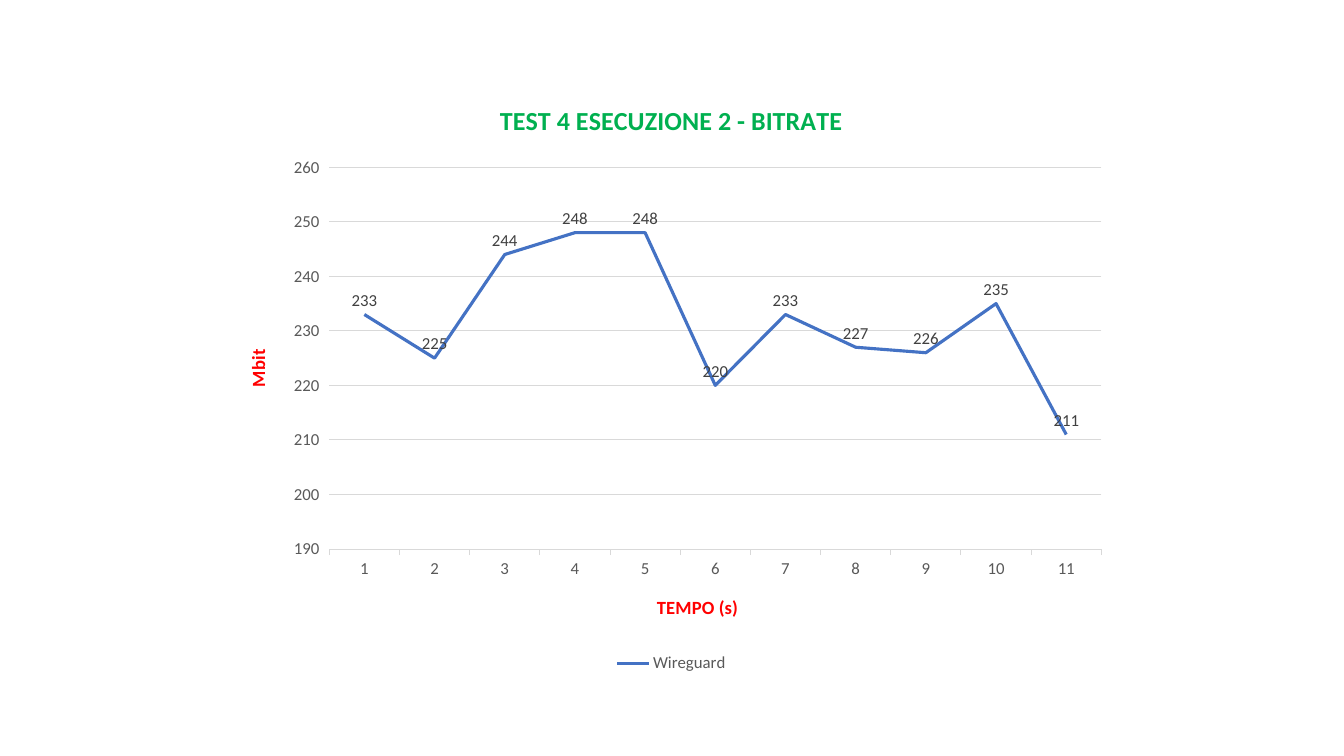
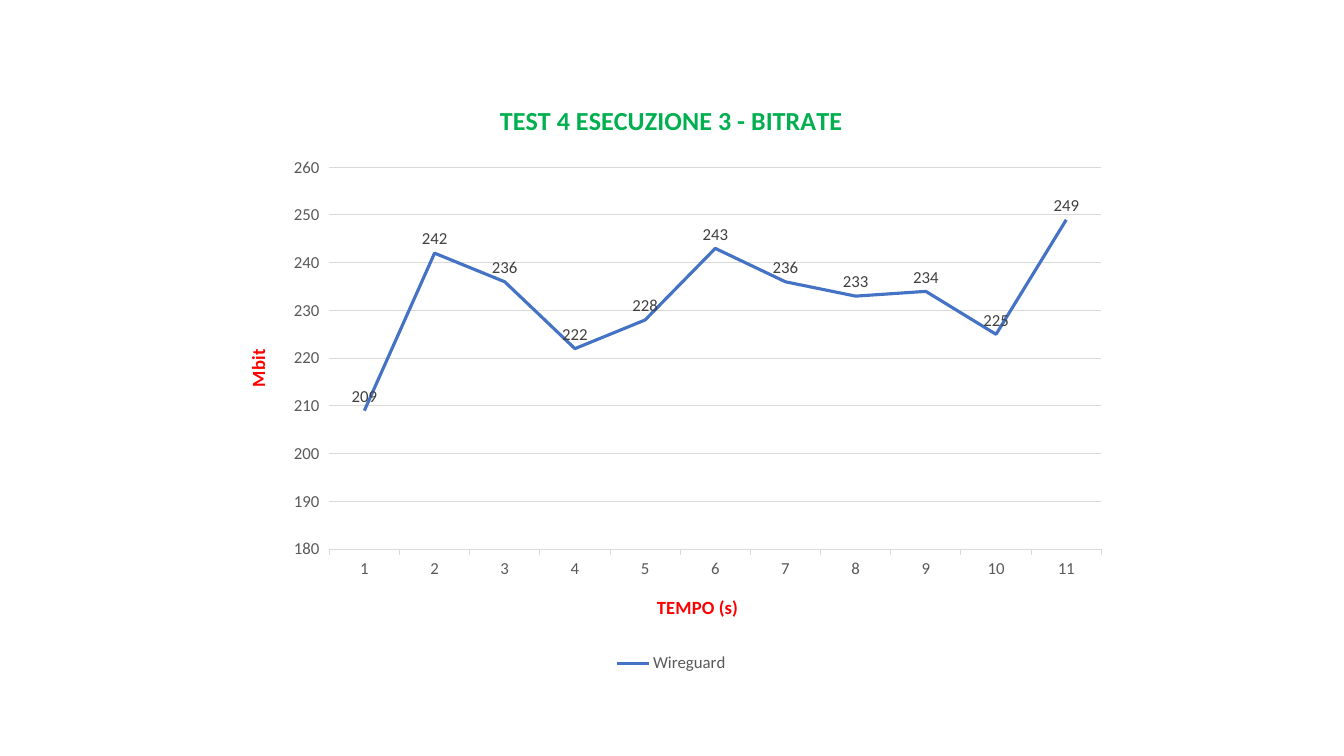
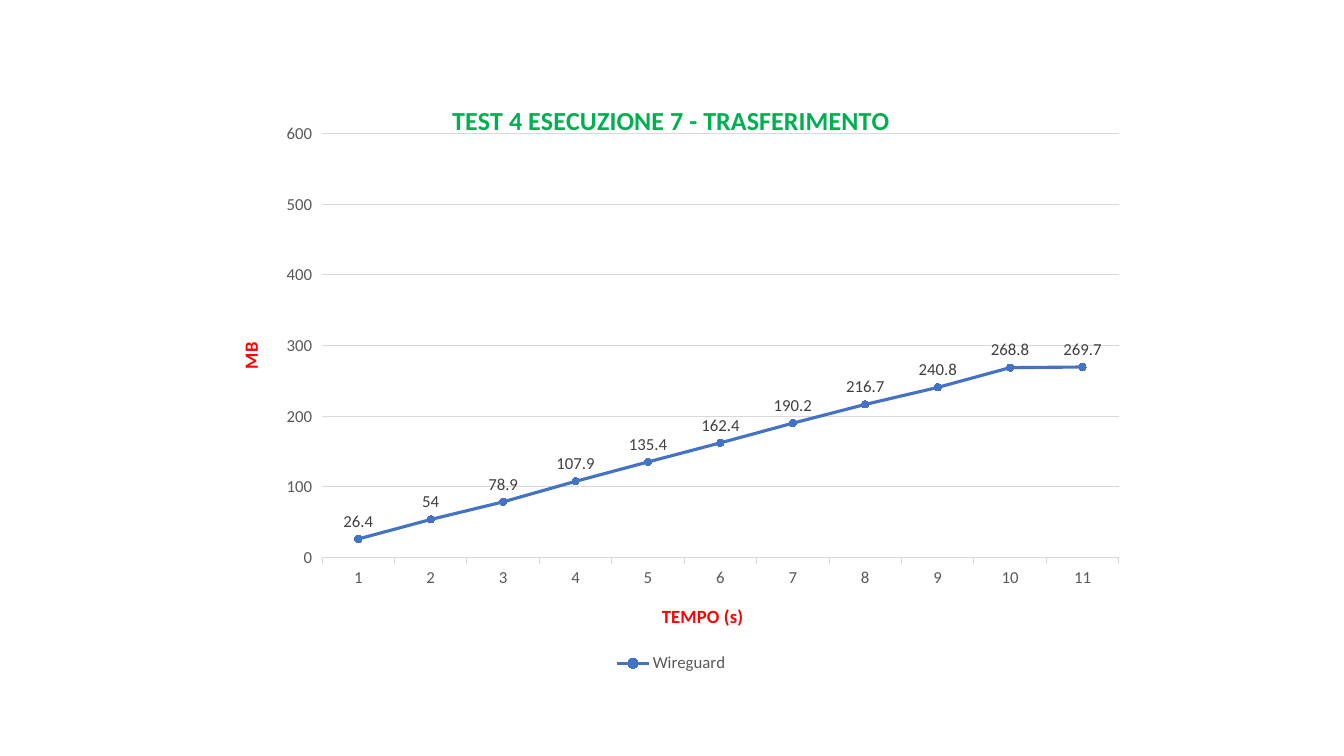
import dataclasses
import typing

import lxml.etree
import pptx
import pptx.chart.axis
import pptx.chart.chart
import pptx.chart.data
import pptx.dml.color
import pptx.enum.chart
import pptx.oxml.ns
import pptx.presentation
import pptx.text.text
import pptx.util

EMU_PER_PX = 9525


# Shared look
@dataclasses.dataclass(frozen=True)
class Theme:
    font: str = "Calibri"
    title_color: str = "00B050"
    axis_title_color: str = "FF0000"
    text_color: str = "595959"
    label_color: str = "404040"
    grid_color: str = "D9D9D9"
    line_color: str = "4472C4"
    title_size: float = 18.6
    axis_title_size: float = 13.3
    text_size: float = 12
    grid_width: float = 0.75
    line_width: float = 2.25


@dataclasses.dataclass(frozen=True)
class Box:
    left: int
    top: int
    width: int
    height: int


@dataclasses.dataclass(frozen=True)
class PlotArea:
    """Inner plot area, as fractions of the chart."""
    x: float
    y: float
    w: float
    h: float


@dataclasses.dataclass(frozen=True)
class LineChart:
    title: str
    unit: str
    values: tuple[float, ...]
    markers: bool = False
    value_range: typing.Optional[tuple[float, float]] = None
    plot_area: typing.Optional[PlotArea] = None


THEME = Theme()
SLIDE_WIDTH, SLIDE_HEIGHT = 1280, 720
CHART_BOX = Box(213, 76, 853, 569)
TIME_TITLE = "TEMPO (s)"
SERIES_NAME = "Wireguard"

CHARTS = (
    LineChart("TEST 4 ESECUZIONE 2 - BITRATE", "Mbit",
              (233, 225, 244, 248, 248, 220, 233, 227, 226, 235, 211)),
    LineChart("TEST 4 ESECUZIONE 3 - BITRATE", "Mbit",
              (209, 242, 236, 222, 228, 243, 236, 233, 234, 225, 249)),
    LineChart("TEST 4 ESECUZIONE 7 - TRASFERIMENTO", "MB",
              (26.4, 54, 78.9, 107.9, 135.4, 162.4, 190.2, 216.7, 240.8, 268.8, 269.7),
              markers=True, value_range=(0, 600),
              plot_area=PlotArea(0.11, 0.09, 0.89, 0.71)),
)


def px(length: int) -> pptx.util.Emu:
    return pptx.util.Emu(length * EMU_PER_PX)


def rgb(color: str) -> pptx.dml.color.RGBColor:
    return pptx.dml.color.RGBColor.from_string(color)


# Text
def set_font(font: pptx.text.text.Font, size: float, color: str, bold: bool = False) -> None:
    font.name = THEME.font
    font.size = pptx.util.Pt(size)
    font.bold = bold
    font.color.rgb = rgb(color)


def write_title(frame: pptx.text.text.TextFrame, text: str, size: float, color: str) -> None:
    run = frame.paragraphs[0].add_run()
    run.text = text
    set_font(run.font, size, color, bold=True)


# Chart parts
def format_axis(axis: pptx.chart.axis._BaseAxis, title: str) -> None:
    write_title(axis.axis_title.text_frame, title,
                THEME.axis_title_size, THEME.axis_title_color)
    set_font(axis.tick_labels.font, THEME.text_size, THEME.text_color)
    axis.major_tick_mark = pptx.enum.chart.XL_TICK_MARK.OUTSIDE
    axis.minor_tick_mark = pptx.enum.chart.XL_TICK_MARK.NONE


def format_axes(chart: pptx.chart.chart.Chart, content: LineChart) -> None:
    time_axis, value_axis = chart.category_axis, chart.value_axis
    format_axis(time_axis, TIME_TITLE)
    format_axis(value_axis, content.unit)
    value_axis.axis_title.element.xpath(".//a:bodyPr")[0].set("rot", "-5400000")
    value_axis.has_major_gridlines = True
    for line in (time_axis.format.line, value_axis.major_gridlines.format.line):
        line.color.rgb = rgb(THEME.grid_color)
        line.width = pptx.util.Pt(THEME.grid_width)
    value_axis.format.line.fill.background()
    if content.value_range:
        value_axis.minimum_scale, value_axis.maximum_scale = content.value_range


def format_series(chart: pptx.chart.chart.Chart, markers: bool) -> None:
    plot = chart.plots[0]
    plot.vary_by_categories = False
    series = plot.series[0]
    series.smooth = False
    series.format.line.color.rgb = rgb(THEME.line_color)
    series.format.line.width = pptx.util.Pt(THEME.line_width)
    if markers:
        series.marker.style = pptx.enum.chart.XL_MARKER_STYLE.CIRCLE
        series.marker.size = 5
        series.marker.format.fill.solid()
        series.marker.format.fill.fore_color.rgb = rgb(THEME.line_color)
        series.marker.format.line.color.rgb = rgb(THEME.line_color)
    labels = series.data_labels
    labels.show_value = True
    labels.position = pptx.enum.chart.XL_LABEL_POSITION.ABOVE
    set_font(labels.font, THEME.text_size, THEME.label_color)


def place_plot_area(chart: pptx.chart.chart.Chart, area: PlotArea) -> None:
    qualify = pptx.oxml.ns.qn
    plot_area = chart.element.xpath(".//c:plotArea")[0]
    for old_layout in plot_area.findall(qualify("c:layout")):
        plot_area.remove(old_layout)
    layout = lxml.etree.Element(qualify("c:layout"))
    manual = lxml.etree.SubElement(layout, qualify("c:manualLayout"))
    settings = {"layoutTarget": "inner", "xMode": "edge", "yMode": "edge",
                **dataclasses.asdict(area)}
    for name, value in settings.items():
        lxml.etree.SubElement(manual, qualify(f"c:{name}")).set("val", str(value))
    plot_area.insert(0, layout)


# Slides
def add_chart_slide(presentation: pptx.presentation.Presentation, content: LineChart) -> None:
    slide = presentation.slides.add_slide(presentation.slide_layouts[6])
    data = pptx.chart.data.CategoryChartData()
    data.categories = [str(second) for second in range(1, len(content.values) + 1)]
    data.add_series(SERIES_NAME, content.values)
    chart_types = pptx.enum.chart.XL_CHART_TYPE
    chart_type = chart_types.LINE_MARKERS if content.markers else chart_types.LINE
    box = (px(length) for length in dataclasses.astuple(CHART_BOX))
    chart = slide.shapes.add_chart(chart_type, *box, data).chart

    set_font(chart.font, THEME.text_size, THEME.text_color)
    write_title(chart.chart_title.text_frame, content.title,
                THEME.title_size, THEME.title_color)
    format_axes(chart, content)
    format_series(chart, content.markers)
    chart.has_legend = True
    chart.legend.position = pptx.enum.chart.XL_LEGEND_POSITION.BOTTOM
    chart.legend.include_in_layout = False
    set_font(chart.legend.font, THEME.text_size, THEME.text_color)
    if content.plot_area:
        place_plot_area(chart, content.plot_area)


def main() -> None:
    presentation = pptx.Presentation()
    presentation.slide_width = px(SLIDE_WIDTH)
    presentation.slide_height = px(SLIDE_HEIGHT)
    for content in CHARTS:
        add_chart_slide(presentation, content)
    presentation.save("out.pptx")


if __name__ == "__main__":
    main()
